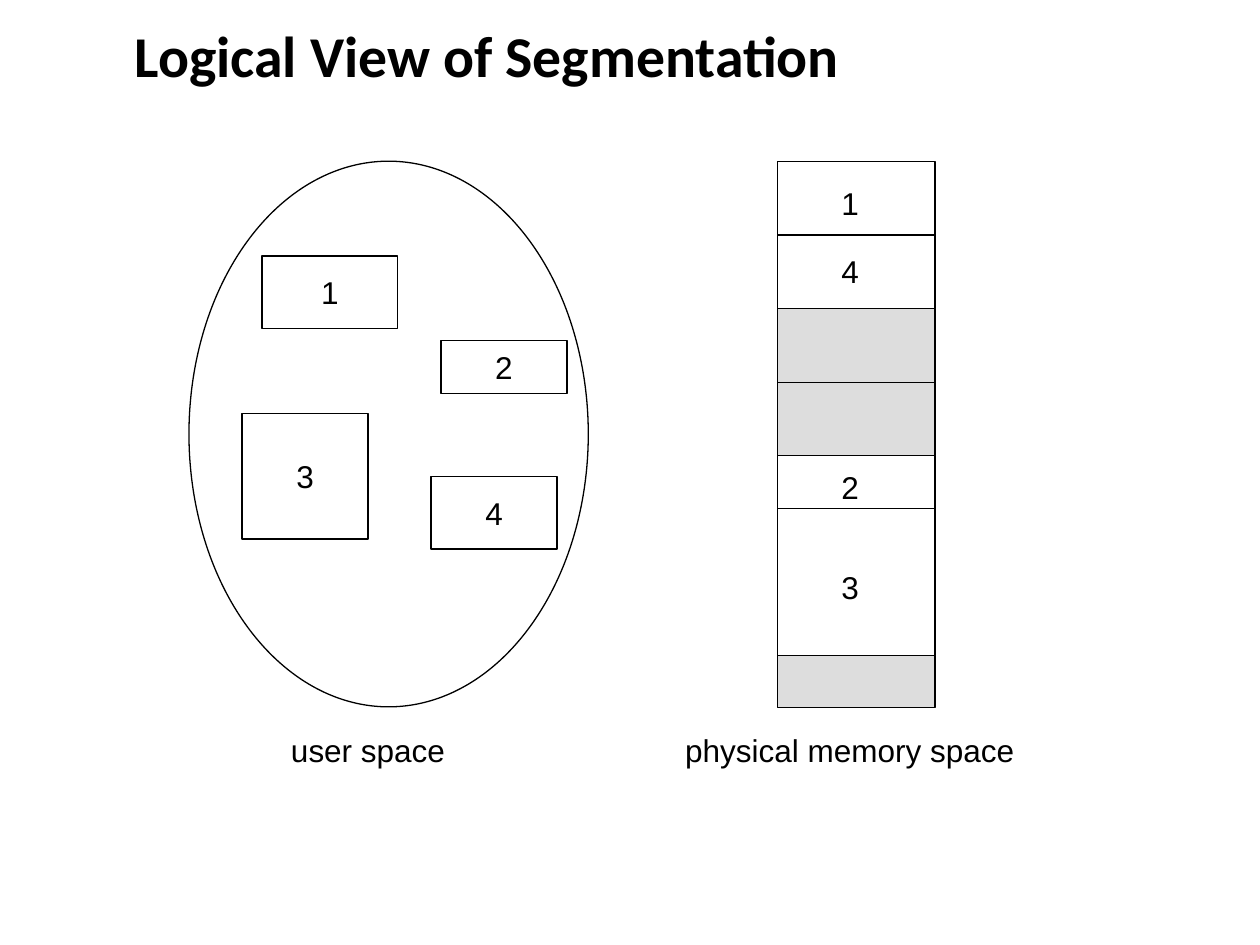
import pptx
import pptx.dml.color
import pptx.enum.shapes
import pptx.enum.text
import pptx.oxml.ns
import pptx.util
from lxml import etree

Cm, Pt = pptx.util.Cm, pptx.util.Pt
SHAPE = pptx.enum.shapes.MSO_SHAPE
ALIGN = pptx.enum.text.PP_ALIGN
MIDDLE = pptx.enum.text.MSO_ANCHOR.MIDDLE


def color(value):
    return pptx.dml.color.RGBColor.from_string(value)


class Slide:
    """Style of the diagram and the slide it is drawn on."""
    ink, white, free = "000000", "FFFFFF", "DDDDDD"
    line_width = Pt(0.75)

    def __init__(self, prs):
        self.slide = prs.slides.add_slide(prs.slide_layouts[5])
        self.shapes = self.slide.shapes

    def start_group(self):
        self.shapes = self.slide.shapes.add_group_shape().shapes

    def end_group(self):
        self.shapes = self.slide.shapes

    def set_text(self, sp, text, size=18, font="Arial", bold=False, align=ALIGN.CENTER):
        tf = sp.text_frame
        tf.text = text
        tf.vertical_anchor = MIDDLE
        p = tf.paragraphs[0]
        p.alignment = align
        r = p.runs[0]
        r.font.size, r.font.name, r.font.bold = Pt(size), font, bold
        r.font.color.rgb = color(self.ink)
        return tf

    def title(self, text, x, y, w, h):
        sp = self.slide.shapes.title
        sp.left, sp.top, sp.width, sp.height = Cm(x), Cm(y), Cm(w), Cm(h)
        tf = self.set_text(sp, text, 33, "Calibri", True, ALIGN.LEFT)
        tf.paragraphs[0].line_spacing = 0.9

    def shape(self, x, y, w, h, text="", kind=SHAPE.RECTANGLE, fill=white):
        sp = self.shapes.add_shape(kind, Cm(x), Cm(y), Cm(w), Cm(h))
        sp.shadow.inherit = False
        sp.fill.solid()
        sp.fill.fore_color.rgb = color(fill)
        sp.line.color.rgb = color(self.ink)
        sp.line.width = self.line_width
        if text:
            self.set_text(sp, text).word_wrap = False
        return sp

    def divider(self, x, y, w, block=None):
        """Horizontal line, joined to the side middles of a block if given."""
        line = self.shapes.add_connector(
            pptx.enum.shapes.MSO_CONNECTOR.STRAIGHT, Cm(x), Cm(y), Cm(x + w), Cm(y))
        line.line.color.rgb = color(self.ink)
        line.line.width = self.line_width
        etree.SubElement(line._element.spPr, pptx.oxml.ns.qn("a:effectLst"))
        if block is not None:
            line.begin_connect(block, 1)
            line.end_connect(block, 3)

    def label(self, text, x, y, w, h=1.02):
        sp = self.shapes.add_textbox(Cm(x), Cm(y), Cm(w), Cm(h))
        tf = self.set_text(sp, text)
        tf.word_wrap = False
        tf.auto_size = pptx.enum.text.MSO_AUTO_SIZE.SHAPE_TO_FIT_TEXT


def main():
    prs = pptx.Presentation()
    prs.slide_width, prs.slide_height = Cm(25.4), Cm(19.05)
    s = Slide(prs)
    s.title("Logical View of Segmentation", 2.46, 0.38, 21.67, 1.6)

    # User space with its segments
    top = 3.25
    s.shape(3.81, top, 8.05, 11, kind=SHAPE.OVAL)
    segments = [
        ("1", 5.28, 5.16, 2.74, 1.47),
        ("3", 4.88, 8.33, 2.54, 2.54),
        ("2", 8.89, 6.86, 2.54, 1.07),
        ("4", 8.69, 9.6, 2.54, 1.47),
    ]
    for text, *box in segments:
        s.shape(*box, text)

    # Physical memory: stacked blocks as (height, fill, divider offset)
    s.start_group()
    x, w = 15.67, 3.18
    blocks = [
        (2.97, s.white, 1.48),
        (2.97, s.free, 1.48),
        (4.02, s.white, 1.06),
        (1.06, s.free, None),
    ]
    y = top
    for h, fill, offset in blocks:
        block = s.shape(x, y, w, h, fill=fill)
        if offset:
            halved = abs(2 * offset - h) < 0.02
            s.divider(x, y + offset, w, block if halved else None)
        y += h

    for text, y in [("1", 3.58), ("4", 4.95), ("2", 9.3), ("3", 11.33)]:
        s.label(text, 16.71, y, 0.86)
    s.end_group()

    # Captions
    s.label("user space", 5.53, 14.6, 3.78)
    s.label("physical memory space", 13.56, 14.6, 7.14)

    prs.save("out.pptx")


if __name__ == "__main__":
    main()
